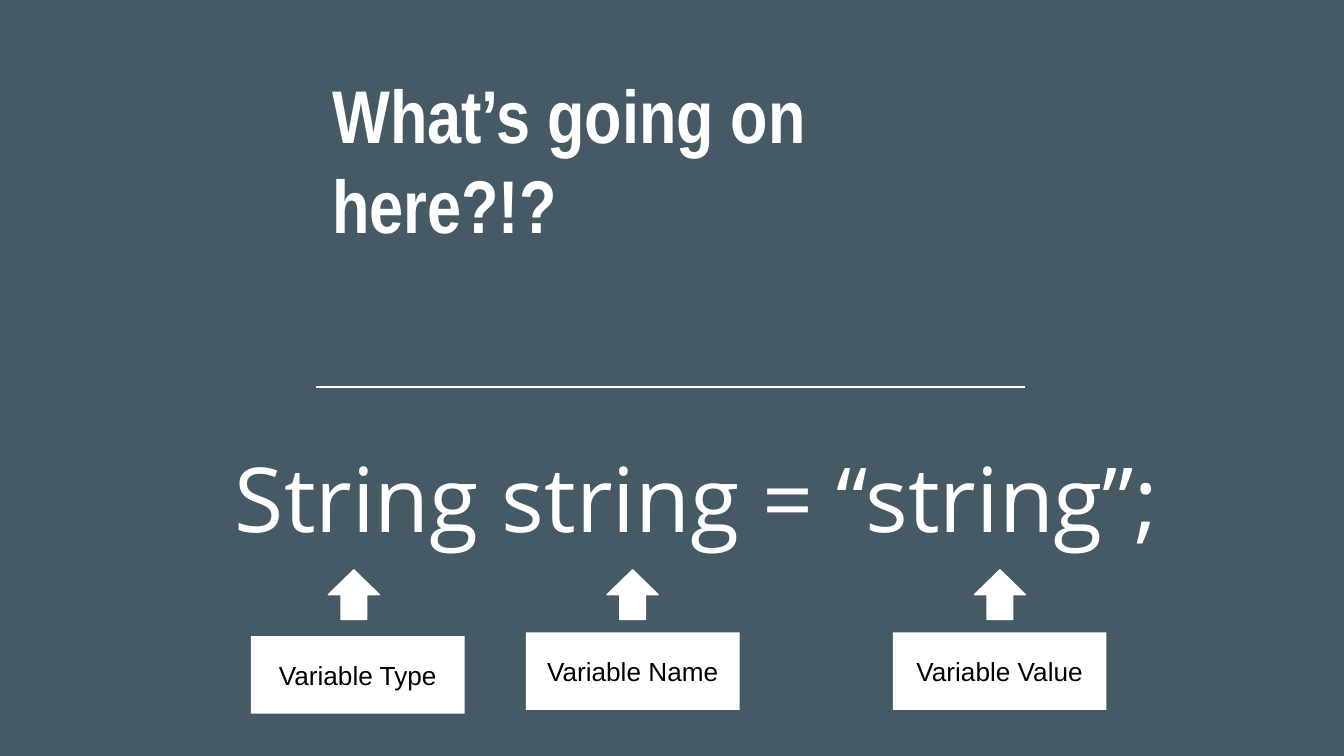
from pptx import Presentation
from pptx import util as u
from pptx.dml.color import RGBColor
from pptx.enum import shapes, text
from pptx.oxml.ns import qn
from lxml import etree

COLUMNS, ROWS = 100, 56.25
CELL = u.Inches(0.1)
WHITE, SLATE, BLACK = "FFFFFF", "455A64", "000000"


def color(value):
    return RGBColor.from_string(value)


def grid(*cells):
    return [round(cell * CELL) for cell in cells]


def write(shape, words, font, size, ink, anchor, align=text.PP_ALIGN.LEFT, bold=False):
    frame = shape.text_frame
    frame.text = words
    frame.word_wrap = True
    frame.auto_size = text.MSO_AUTO_SIZE.NONE
    frame.vertical_anchor = anchor
    frame.margin_left = frame.margin_right = CELL
    frame.margin_top = frame.margin_bottom = CELL
    para = frame.paragraphs[0]
    para.alignment = align
    span = para.runs[0]
    span.font.name = font
    span.font.size = u.Pt(size)
    span.font.bold = bold
    span.font.color.rgb = color(ink)
    return para


def add_solid(page, kind, box):
    shape = page.shapes.add_shape(kind, *grid(*box))
    shape.shadow.inherit = False
    shape.fill.solid()
    shape.fill.fore_color.rgb = color(WHITE)
    return shape


def add_heading(page, box):
    heading = page.shapes.add_textbox(*grid(*box))
    write(heading, "What’s going on here?!?", "Arial Narrow", 40, WHITE,
          text.MSO_ANCHOR.BOTTOM, bold=True)


def add_divider(page, left, right, row):
    divider = page.shapes.add_connector(
        shapes.MSO_CONNECTOR.STRAIGHT, *grid(right, row, left, row))
    divider.line.color.rgb = color(WHITE)
    divider.line.width = u.Pt(0.75)
    etree.SubElement(divider._element.spPr, qn("a:effectLst"))


def add_statement(page, box):
    statement = page.shapes.add_textbox(*grid(*box))
    para = write(statement, "String string = “string”;", "Open Sans", 48, WHITE,
                 text.MSO_ANCHOR.TOP)
    para.line_spacing = 1.15
    para.space_after = u.Pt(16)


def add_annotation(page, box, words, arrow_left):
    arrow = add_solid(page, shapes.MSO_SHAPE.UP_ARROW, (arrow_left, 42.4, 3.8, 3.7))
    arrow.line.color.rgb = color(WHITE)
    arrow.line.width = u.Pt(0.75)
    label = add_solid(page, shapes.MSO_SHAPE.RECTANGLE, box)
    label.line.fill.background()
    write(label, words, "Arial", 14, BLACK, text.MSO_ANCHOR.MIDDLE, text.PP_ALIGN.CENTER)


def main():
    deck = Presentation()
    deck.slide_width, deck.slide_height = grid(COLUMNS, ROWS)
    page = deck.slides.add_slide(deck.slide_layouts[6])
    page.background.fill.solid()
    page.background.fill.fore_color.rgb = color(SLATE)

    add_divider(page, 23.5, 76.25, 28.8)
    add_heading(page, (23.75, 11.95, 54.1, 7.5))
    add_statement(page, (16.5, 30.75, 84.5, 10.7))
    for part, left, top, arrow_left in (
        ("Type", 18.67, 47.33, 24.43),
        ("Name", 39.13, 47.05, 45.17),
        ("Value", 66.43, 47.05, 72.5),
    ):
        add_annotation(page, (left, top, 15.9, 5.77), f"Variable {part}", arrow_left)

    deck.save("out.pptx")


if __name__ == "__main__":
    main()
